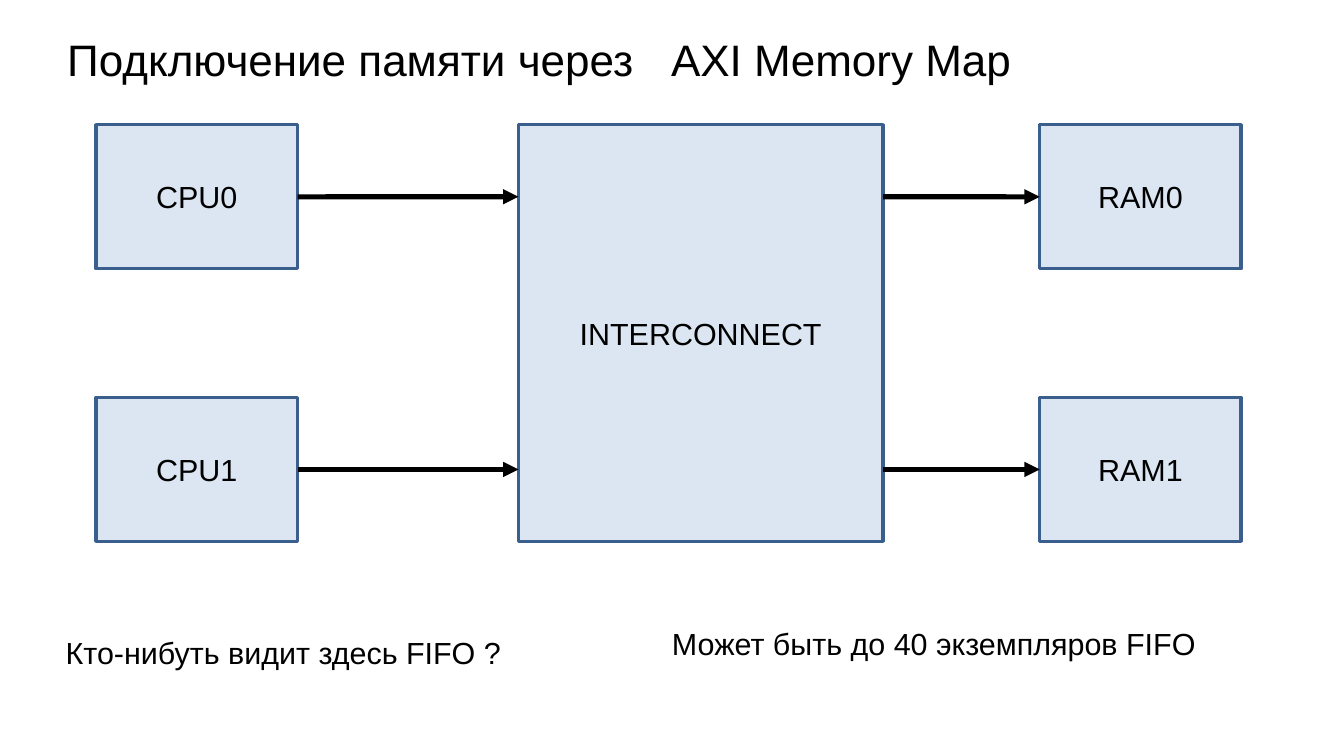
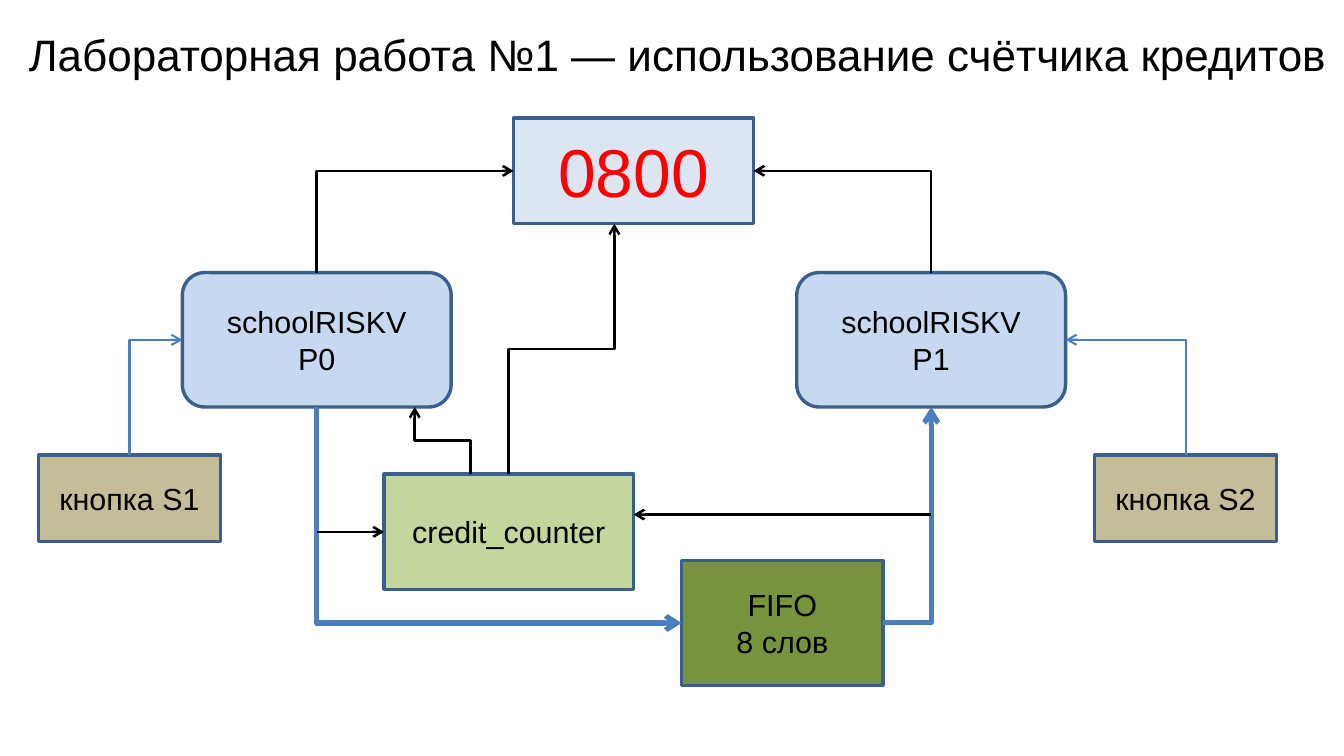
import dataclasses

import lxml.etree
import pptx
import pptx.dml.color
import pptx.enum.shapes
import pptx.enum.text
import pptx.oxml.ns
import pptx.util

Cm = pptx.util.Cm
Pt = pptx.util.Pt
Shape = pptx.enum.shapes.MSO_SHAPE
Link = pptx.enum.shapes.MSO_CONNECTOR
Align = pptx.enum.text.PP_ALIGN
Anchor = pptx.enum.text.MSO_ANCHOR
Fit = pptx.enum.text.MSO_AUTO_SIZE

TOP, LEFT, BOTTOM, RIGHT = range(4)


@dataclasses.dataclass(frozen=True)
class Theme:
    font: str = "Arial"
    ink: str = "000000"
    edge: str = "3A5F8C"
    wire: str = "4B7EBC"
    pale: str = "DCE6F2"
    core: str = "C6D9F1"
    key: str = "C4BD97"
    count: str = "C3D69B"
    queue: str = "77933C"
    digit: str = "FF0000"
    head: float = 26
    body: float = 18
    large: float = 40
    border: float = 2
    thick: float = 3
    thin: float = 1.5
    fine: float = 1.25


def color(code):
    return pptx.dml.color.RGBColor.from_string(code)


def child(node, tag, **attrs):
    return lxml.etree.SubElement(node, pptx.oxml.ns.qn(tag), **attrs)


class Deck:
    def __init__(self, theme):
        self.theme = theme
        self.show = pptx.Presentation()
        self.show.slide_width = Cm(28)
        self.show.slide_height = Cm(15.75)
        self.slide = None

    def label(self, frame, text, size, ink, align):
        frame.text = text
        for para in frame.paragraphs:
            para.alignment = align
            for run in para.runs:
                run.font.name = self.theme.font
                run.font.size = Pt(size)
                run.font.color.rgb = color(ink)

    def trim(self, frame):
        """Remove the inner margins of a text frame."""
        frame.margin_left = frame.margin_right = 0
        frame.margin_top = frame.margin_bottom = 0

    def page(self, text, x, y, w, h, tab=None):
        """Add a slide with its title; tab is an optional tab stop in cm."""
        self.slide = self.show.slides.add_slide(self.show.slide_layouts[5])
        title = self.slide.shapes.title
        title.left, title.top, title.width, title.height = map(Cm, (x, y, w, h))
        frame = title.text_frame
        self.trim(frame)
        frame.auto_size = Fit.NONE
        frame.vertical_anchor = Anchor.MIDDLE
        self.label(frame, text, self.theme.head, self.theme.ink, Align.LEFT)
        if tab:
            stops = child(frame.paragraphs[0]._p.get_or_add_pPr(), "a:tabLst")
            child(stops, "a:tab", pos=str(int(Cm(tab))), algn="l")

    def note(self, text, x, y, w, h):
        frame = self.slide.shapes.add_textbox(*map(Cm, (x, y, w, h))).text_frame
        frame.word_wrap = True
        self.trim(frame)
        self.label(frame, text, self.theme.body, self.theme.ink, Align.LEFT)

    def box(self, text, x, y, w, h, fill, kind=Shape.RECTANGLE, size=None, ink=None):
        theme = self.theme
        shape = self.slide.shapes.add_shape(kind, *map(Cm, (x, y, w, h)))
        shape.shadow.inherit = False
        shape.fill.solid()
        shape.fill.fore_color.rgb = color(fill)
        shape.line.color.rgb = color(theme.edge)
        shape.line.width = Pt(theme.border)
        shape.text_frame.vertical_anchor = Anchor.MIDDLE
        self.label(shape.text_frame, text, size or theme.body, ink or theme.ink,
                   Align.CENTER)
        return shape

    def wire(self, kind, start, end, ink, width, tip):
        link = self.slide.shapes.add_connector(kind, *map(Cm, (*start, *end)))
        link.line.color.rgb = color(ink)
        link.line.width = Pt(width)
        props = link._element.spPr
        child(props.find(pptx.oxml.ns.qn("a:ln")), "a:tailEnd", type=tip)
        child(props, "a:effectLst")
        return link

    def arrow(self, start, end, width, tip="arrow", source=None, target=None):
        """Straight arrow; source and target are (shape, side) to join."""
        link = self.wire(Link.STRAIGHT, start, end, self.theme.ink, width, tip)
        if source:
            link.begin_connect(*source)
        if target:
            link.end_connect(*target)

    def bend(self, start, end, ink, width, turns=1, rise=True):
        """Elbow arrow with one or two turns; rise means it leaves vertically."""
        if rise:
            # The frame lies on its side around the same centre.
            (ax, ay), (bx, by) = start, end
            mx, my = (ax + bx) / 2, (ay + by) / 2
            dx, dy = (ay - by) / 2, (bx - ax) / 2
            start, end = (mx - dx, my - dy), (mx + dx, my + dy)
        link = self.wire(Link.ELBOW, start, end, ink, width, "arrow")
        props = link._element.spPr
        props.find(pptx.oxml.ns.qn("a:prstGeom")).set(
            "prst", f"bentConnector{turns + 1}")
        if rise:
            props.find(pptx.oxml.ns.qn("a:xfrm")).set("rot", "16200000")


def memory(deck):
    theme = deck.theme
    deck.page("Подключение памяти через\tAXI Memory Map", 1.4, 0.64, 25.2, 1.18,
              tab=12.58)
    hub_x, hub_w = 10.8, 7.6
    deck.box("INTERCONNECT", hub_x, 2.6, hub_w, 8.68, theme.pale)
    wide, high = 4.2, 3
    for row, y in enumerate((2.6, 8.28)):
        mid = y + high / 2
        cpu = deck.box(f"CPU{row}", 2, y, wide, high, theme.pale)
        ram = deck.box(f"RAM{row}", 21.66, y, wide, high, theme.pale)
        deck.arrow((2 + wide, mid), (hub_x, mid), theme.thick, "triangle",
                   source=(cpu, RIGHT))
        deck.arrow((hub_x + hub_w, mid), (21.66, mid), theme.thick, "triangle",
                   target=(ram, LEFT))
    deck.note("Кто-нибуть видит здесь FIFO ?", 1.37, 13.2, 10.5, 1)
    deck.note("Может быть до 40 экземпляров FIFO", 14, 13.03, 12, 1)


def lab(deck):
    theme = deck.theme
    deck.page("Лабораторная работа №1 — использование счётчика кредитов",
              0.6, 0.1, 27.3, 2.03)
    left, right = 6.6, 19.4
    for num, mid in enumerate((left, right)):
        deck.box(f"schoolRISKV\nP{num}", mid - 2.8, 5.68, 5.6, 2.8, theme.core,
                 Shape.ROUNDED_RECTANGLE)
    deck.box("FIFO\n8 слов", 14.2, 11.68, 4.2, 2.6, theme.queue)
    deck.bend((18.4, 12.98), (right, 8.48), theme.wire, theme.thick, rise=False)
    deck.bend((left, 8.48), (14.2, 12.98), theme.wire, theme.thick)

    for num, mid, edge in ((1, 2.7, left - 2.8), (2, 24.7, right + 2.8)):
        deck.box(f"кнопка S{num}", mid - 1.9, 9.48, 3.8, 1.8, theme.key)
        deck.bend((mid, 9.48), (edge, 7.08), theme.wire, theme.fine)

    deck.box("0800", 10.7, 2.46, 5, 2.2, theme.pale,
             size=theme.large, ink=theme.digit)
    for mid, edge in ((left, 10.7), (right, 15.7)):
        deck.bend((mid, 5.68), (edge, 3.56), theme.ink, theme.thin)

    count = deck.box("credit_counter", 8, 9.88, 5.2, 2.4, theme.count)
    for start, end in (((10.6, 9.88), (12.8, 4.66)), ((9.8, 9.88), (8.64, 8.48))):
        deck.bend(start, end, theme.ink, theme.thin, turns=2)
    deck.arrow((right, 10.72), (13.2, 10.72), theme.thin)
    deck.arrow((left, 11.08), (8, 11.08), theme.thin, target=(count, LEFT))


def main():
    deck = Deck(Theme())
    memory(deck)
    lab(deck)
    deck.show.save("out.pptx")


if __name__ == "__main__":
    main()
